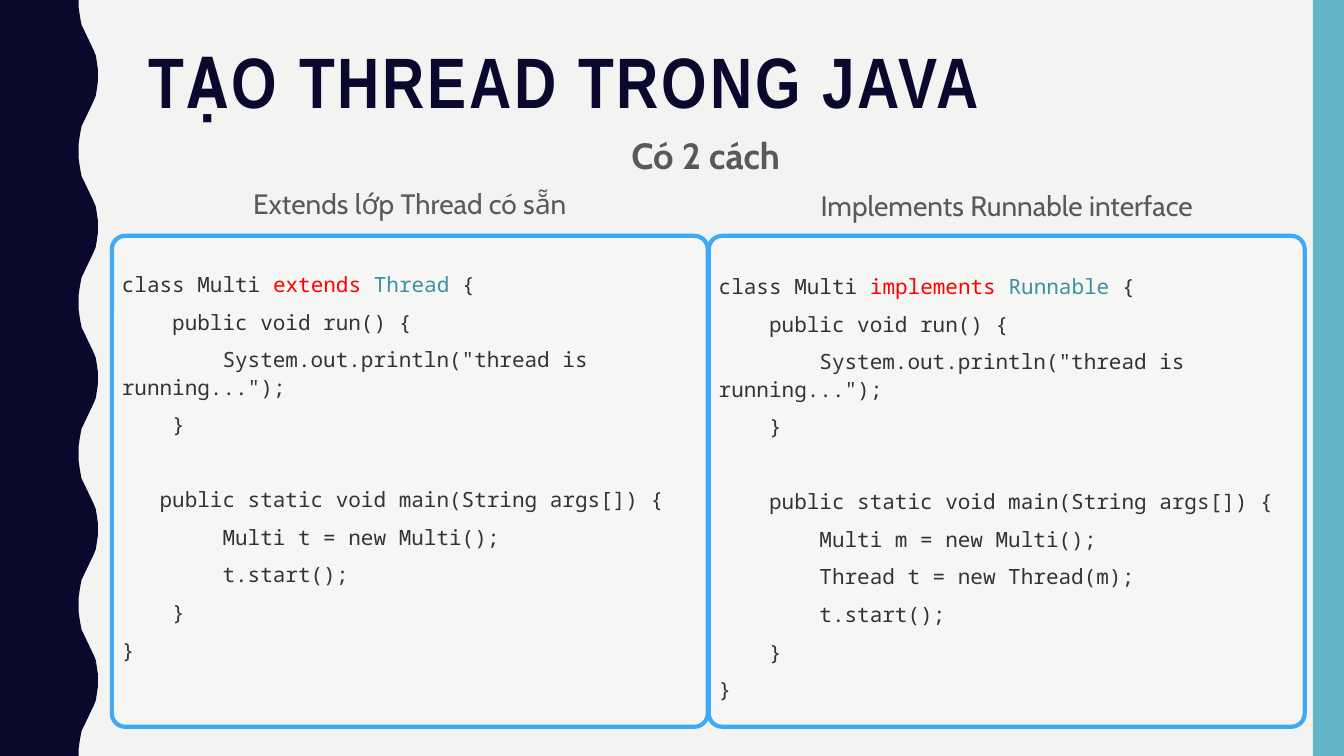
from pptx import Presentation
from pptx.dml.color import RGBColor
from pptx.enum.shapes import MSO_SHAPE
from pptx.enum.text import PP_ALIGN
from pptx.oxml.ns import qn
from pptx.util import Inches, Pt
from lxml.etree import SubElement

NAVY, TEAL, BLUE, GREY, INK = "0B082E", "62B4C6", "3FA9F5", "595959", "333333"
RED, CYAN = "FF0000", "3B90A3"
BEND = [(0.78, 0), (0.78, 0.07), (0.79, 0.14), (0.8, 0.2), (0.81, 0.25), (0.83, 0.29),
        (0.93, 0.5), (0.95, 0.55), (0.96, 0.61), (0.97, 0.68), (0.97, 0.75)]
RUN = [
    "    public void run() {",
    '        System.out.println("thread is running...");',
    "    }",
]
EXTEND = [
    "   public static void main(String args[]) {",
    "        Multi t = new Multi();",
    "        t.start();",
    "    }",
    "}",
]
IMPLEMENT = [
    "    public static void main(String args[]) {",
    "        Multi m = new Multi();",
    "        Thread t = new Thread(m);",
    "        t.start();",
    "    }",
    "}",
]


def paint(fill, color):
    """Fill with a solid hex colour."""
    fill.solid()
    fill.fore_color.rgb = RGBColor.from_string(color)


def add_run(para, text, size, font, color, bold=False):
    """Append one styled run and return it."""
    run = para.add_run()
    run.text = text
    run.font.size = Pt(size)
    run.font.name = font
    run.font.bold = bold
    run.font.color.rgb = RGBColor.from_string(color)
    return run


def add_box(slide, left, top, width, height):
    """Add a wrapping text box and return its frame."""
    box = slide.shapes.add_textbox(Inches(left), Inches(top), Inches(width), Inches(height))
    box.text_frame.word_wrap = True
    return box.text_frame


def add_label(slide, left, top, width, text, size, bold=False):
    """Add a centred line of text."""
    para = add_box(slide, left, top, width, 0.5).paragraphs[0]
    para.alignment = PP_ALIGN.CENTER
    para.line_spacing = 1.1
    add_run(para, text, size, "Cabin", GREY, bold)


def add_title(slide, text):
    """Add the spaced, bold slide title."""
    para = add_box(slide, 1.37, 0.42, 11.13, 1).paragraphs[0]
    para.line_spacing = 0.9
    run = add_run(para, text, 51, "Arial Narrow", NAVY, True)
    run.font._element.set("spc", "200")


def add_wave(slide):
    """Draw the wavy band down the left edge."""
    points = []
    for wave in range(5):
        start = wave * 1.5
        points += [(x, start + y) for x, y in BEND]
        points += [(x, start + 1.5 - y) for x, y in reversed(BEND[:-1])]
    points.append((0, 7.5))
    form = slide.shapes.build_freeform(0, 0)
    form.add_line_segments([(Inches(x), Inches(y)) for x, y in points], close=True)
    band = form.convert_to_shape()
    band.shadow.inherit = False
    paint(band.fill, NAVY)
    band.line.fill.background()


def add_stripe(slide):
    """Draw the plain stripe on the right edge."""
    bar = slide.shapes.add_shape(MSO_SHAPE.RECTANGLE, Inches(13.02), 0, Inches(0.31), Inches(7.5))
    bar.shadow.inherit = False
    paint(bar.fill, TEAL)
    bar.line.fill.background()


def add_panel(slide, left):
    """Draw a translucent rounded frame."""
    panel = slide.shapes.add_shape(
        MSO_SHAPE.ROUNDED_RECTANGLE, Inches(left), Inches(2.34), Inches(5.91), Inches(4.87))
    panel.adjustments[0] = 0.027
    panel.shadow.inherit = False
    paint(panel.fill, "FFFFFF")
    tint = panel._element.spPr.find(qn("a:solidFill"))[0]
    SubElement(tint, qn("a:alpha")).set("val", "28000")
    paint(panel.line.fill, BLUE)
    panel.line.width = Pt(3)


def add_code(slide, left, top, word, base, main_part):
    """Add the code of one class, with a gap before its main method."""
    frame = add_box(slide, left, top, 5.91, 4.5)
    head = [("class Multi ", INK), (word + " ", RED), (base, CYAN), (" {", INK)]
    lines = [head] + [[(line, INK)] for line in RUN + main_part]
    for row, parts in enumerate(lines):
        para = frame.paragraphs[0] if row == 0 else frame.add_paragraph()
        para.line_spacing = Pt(19.8)
        if row:
            para.space_before = Pt(33.7 if row == len(RUN) + 1 else 7)
        for text, color in parts:
            add_run(para, text, 15, "Noto Sans Mono", color)


def add_column(slide, left, top, label, word, base, main_part):
    """Add a heading, its frame and its code."""
    add_panel(slide, left)
    add_label(slide, left, top, 5.91, label, 20)
    add_code(slide, left, top + 0.85, word, base, main_part)


def main():
    """Build and save the slide."""
    deck = Presentation()
    deck.slide_width, deck.slide_height = Inches(13.33), Inches(7.5)
    slide = deck.slides.add_slide(deck.slide_layouts[6])
    paint(slide.background.fill, "F3F3F2")
    add_wave(slide)
    add_stripe(slide)
    add_title(slide, "TẠO THREAD TRONG JAVA")
    add_label(slide, 1.5, 1.23, 11, "Có 2 cách", 26, True)
    add_column(slide, 1.11, 1.77, "Extends lớp Thread có sẵn", "extends", "Thread", EXTEND)
    add_column(slide, 7.03, 1.79, "Implements Runnable interface", "implements", "Runnable", IMPLEMENT)
    deck.save("out.pptx")


if __name__ == "__main__":
    main()
